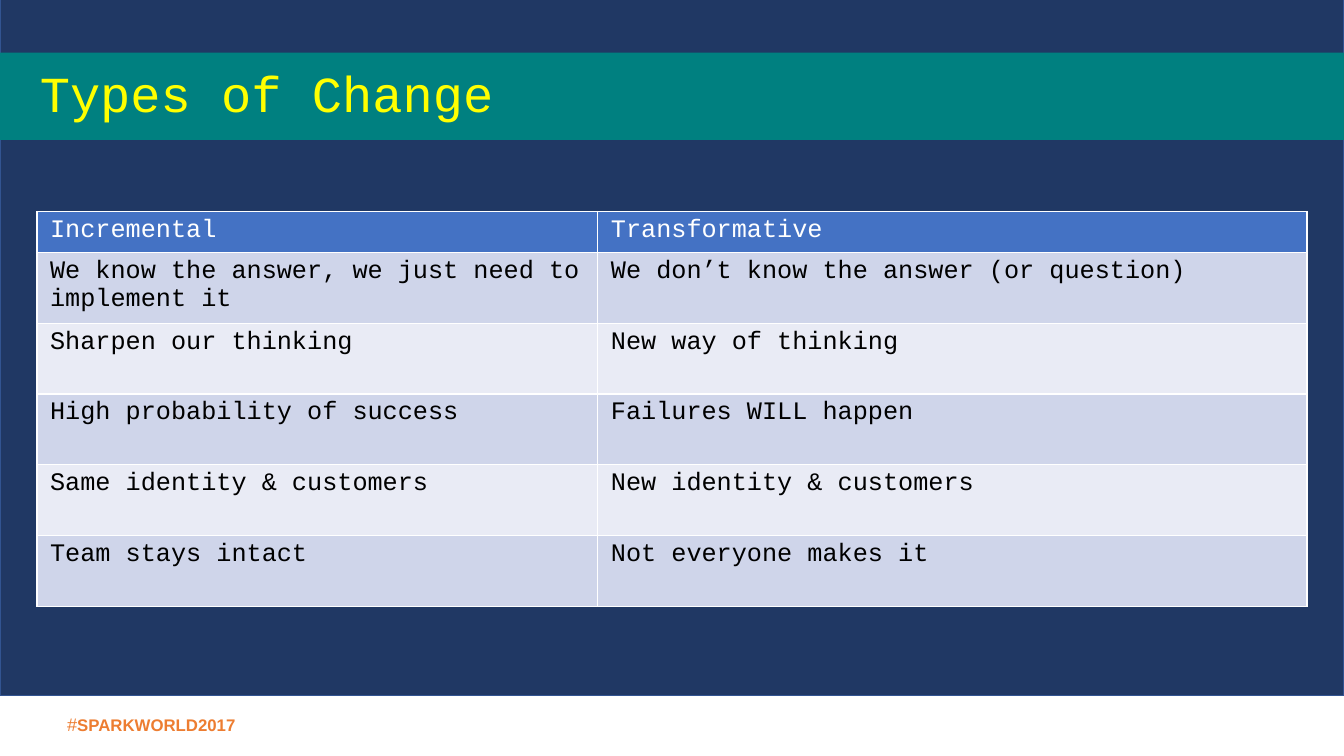
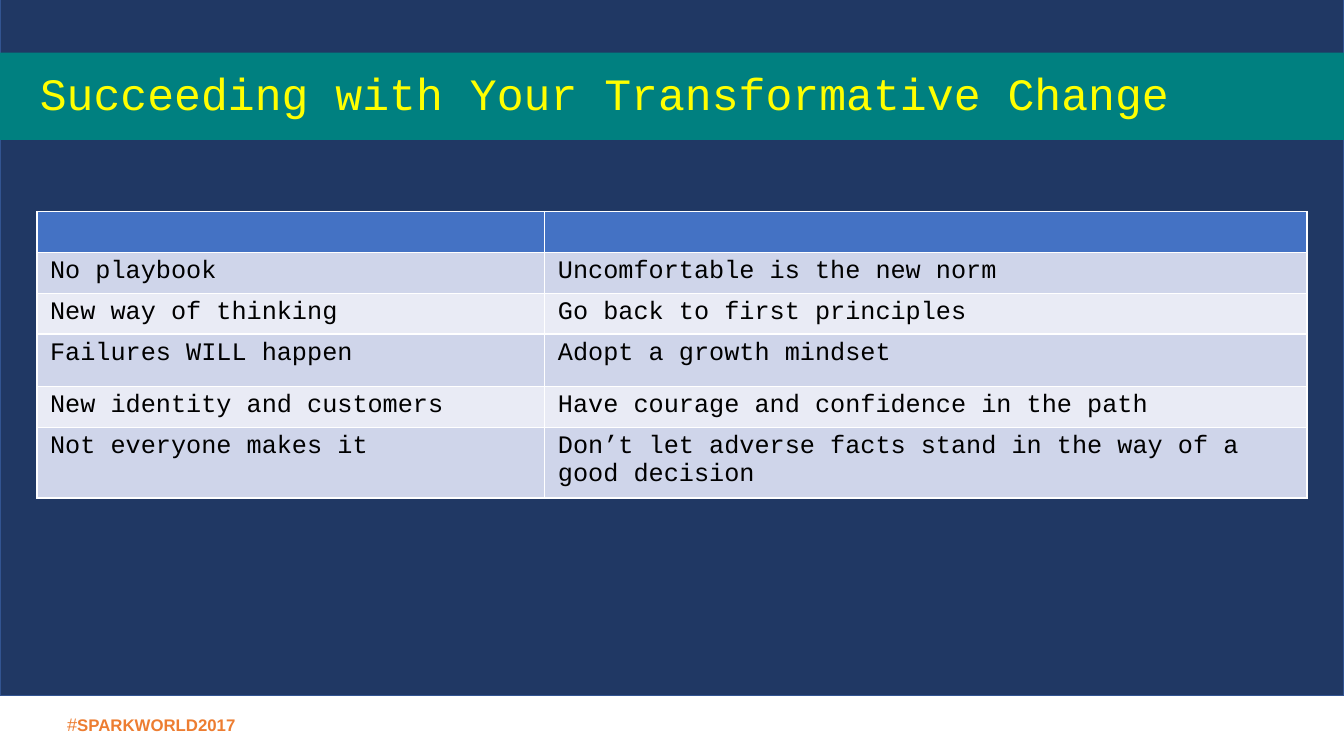
from lxml.etree import SubElement
from pptx import Presentation
from pptx.dml.color import RGBColor
from pptx.enum.shapes import MSO_SHAPE as SHAPE
from pptx.enum.text import MSO_ANCHOR as ANCHOR, PP_ALIGN as ALIGN
from pptx.oxml.ns import qn
from pptx.util import Pt

COLORS = {
    "navy": "203864", "navy_line": "325491", "teal": "008080",
    "yellow": "FFFF00", "orange": "ED7D31", "header": "4472C4",
    "band_dark": "CFD5EA", "band_light": "E9EBF5",
    "white": "FFFFFF", "black": "000000",
}
MONO, SANS = "Courier New", "Arial"
SLIDE_W, SLIDE_H = 960, 540

BACKDROP_BOX = (0, -24, SLIDE_W, 520.8)
TITLE_BOX = (0, 37.6, SLIDE_W, 62.4)
FOOTER_BOX = (48, 509.5, 160, 16)
TABLE_LEFT, TABLE_TOP = 26.4, 151
ROW_H, TALL_ROW_H = 29.2, 50.6

SLIDES = [
    {
        "title": "Types of Change",
        "title_size": 36,
        "col_widths": [400.6, 506.6],
        "row_heights": [ROW_H] + [TALL_ROW_H] * 5,
        "rows": [
            ("Incremental", "Transformative"),
            ("We know the answer, we just need to implement it",
             "We don’t know the answer (or question)"),
            ("Sharpen our thinking", "New way of thinking"),
            ("High probability of success", "Failures WILL happen"),
            ("Same identity & customers", "New identity & customers"),
            ("Team stays intact", "Not everyone makes it"),
        ],
    },
    {
        "title": "Succeeding with Your Transformative Change",
        "title_size": 32,
        "col_widths": [362.8, 544.4],
        "row_heights": [ROW_H] * 3 + [37.4, ROW_H, TALL_ROW_H],
        "rows": [
            ("", ""),
            ("No playbook", "Uncomfortable is the new norm"),
            ("New way of thinking", "Go back to first principles"),
            ("Failures WILL happen", "Adopt a growth mindset"),
            ("New identity and customers",
             "Have courage and confidence in the path"),
            ("Not everyone makes it",
             "Don’t let adverse facts stand in the way of a good decision"),
        ],
    },
]


def rgb(name):
    return RGBColor.from_string(COLORS[name])


def pts(values):
    return [Pt(v) for v in values]


def set_attrs(obj, **values):
    for name, value in values.items():
        setattr(obj, name, value)


def set_insets(obj, left, top, right, bottom):
    set_attrs(obj, margin_left=Pt(left), margin_top=Pt(top),
              margin_right=Pt(right), margin_bottom=Pt(bottom))


def add_run(p, text, size, color, font=MONO, bold=False):
    r = p.add_run()
    r.text = text
    set_attrs(r.font, name=font, size=Pt(size), bold=bold)
    r.font.color.rgb = rgb(color)


def add_rect(s, box, fill, line=None):
    sp = s.shapes.add_shape(SHAPE.RECTANGLE, *pts(box))
    sp.shadow.inherit = False
    sp.fill.solid()
    sp.fill.fore_color.rgb = rgb(fill)
    if line:
        sp.line.color.rgb = rgb(line)
        sp.line.width = Pt(1)
    else:
        sp.line.fill.background()
    return sp


def add_title(s, box, text, size):
    tf = add_rect(s, box, "teal").text_frame
    set_attrs(tf, word_wrap=True, vertical_anchor=ANCHOR.MIDDLE)
    set_insets(tf, 28.4, 3.6, 7.2, 3.6)
    p = tf.paragraphs[0]
    set_attrs(p, alignment=ALIGN.LEFT, line_spacing=0.9)
    add_run(p, text, size, "yellow")


def add_footer(s, box):
    tf = s.shapes.add_textbox(*pts(box)).text_frame
    tf.word_wrap = True
    set_insets(tf, 0, 0, 0, 0)
    p = tf.paragraphs[0]
    p.alignment = ALIGN.LEFT
    add_run(p, "#", 13, "orange", SANS)
    add_run(p, "SPARKWORLD2017", 12, "orange", SANS, bold=True)


def add_borders(cell, color, width):
    """Line all four sides; call before the fill, which must come last."""
    tc_pr = cell._tc.get_or_add_tcPr()
    for side in ("lnL", "lnR", "lnT", "lnB"):
        ln = SubElement(tc_pr, qn(f"a:{side}"), w=str(Pt(width)))
        fill = SubElement(ln, qn("a:solidFill"))
        SubElement(fill, qn("a:srgbClr"), val=COLORS[color])


def fill_cell(cell, text, fill, color):
    add_borders(cell, "white", 1)
    cell.fill.solid()
    cell.fill.fore_color.rgb = rgb(fill)
    set_insets(cell, 9.4, 3.6, 9.4, 3.6)
    if text:
        add_run(cell.text_frame.paragraphs[0], text, 18, color)


def add_comparison(s, left, top, rows, col_widths, row_heights):
    box = (left, top, sum(col_widths), sum(row_heights))
    table = s.shapes.add_table(len(rows), len(col_widths), *pts(box)).table
    table.horz_banding = False
    for col, width in zip(table.columns, col_widths):
        col.width = Pt(width)
    for i, (row, height, texts) in enumerate(
            zip(table.rows, row_heights, rows)):
        row.height = Pt(height)
        if i == 0:
            fill, color = "header", "white"
        else:
            fill, color = ("band_dark" if i % 2 else "band_light"), "black"
        for cell, text in zip(row.cells, texts):
            fill_cell(cell, text, fill, color)


def build_slide(prs, content):
    s = prs.slides.add_slide(prs.slide_layouts[6])
    add_footer(s, FOOTER_BOX)
    add_rect(s, BACKDROP_BOX, "navy", "navy_line")
    add_comparison(s, TABLE_LEFT, TABLE_TOP, content["rows"],
                   content["col_widths"], content["row_heights"])
    add_title(s, TITLE_BOX, content["title"], content["title_size"])


def main():
    prs = Presentation()
    set_attrs(prs, slide_width=Pt(SLIDE_W), slide_height=Pt(SLIDE_H))
    for content in SLIDES:
        build_slide(prs, content)
    prs.save("out.pptx")


if __name__ == "__main__":
    main()
